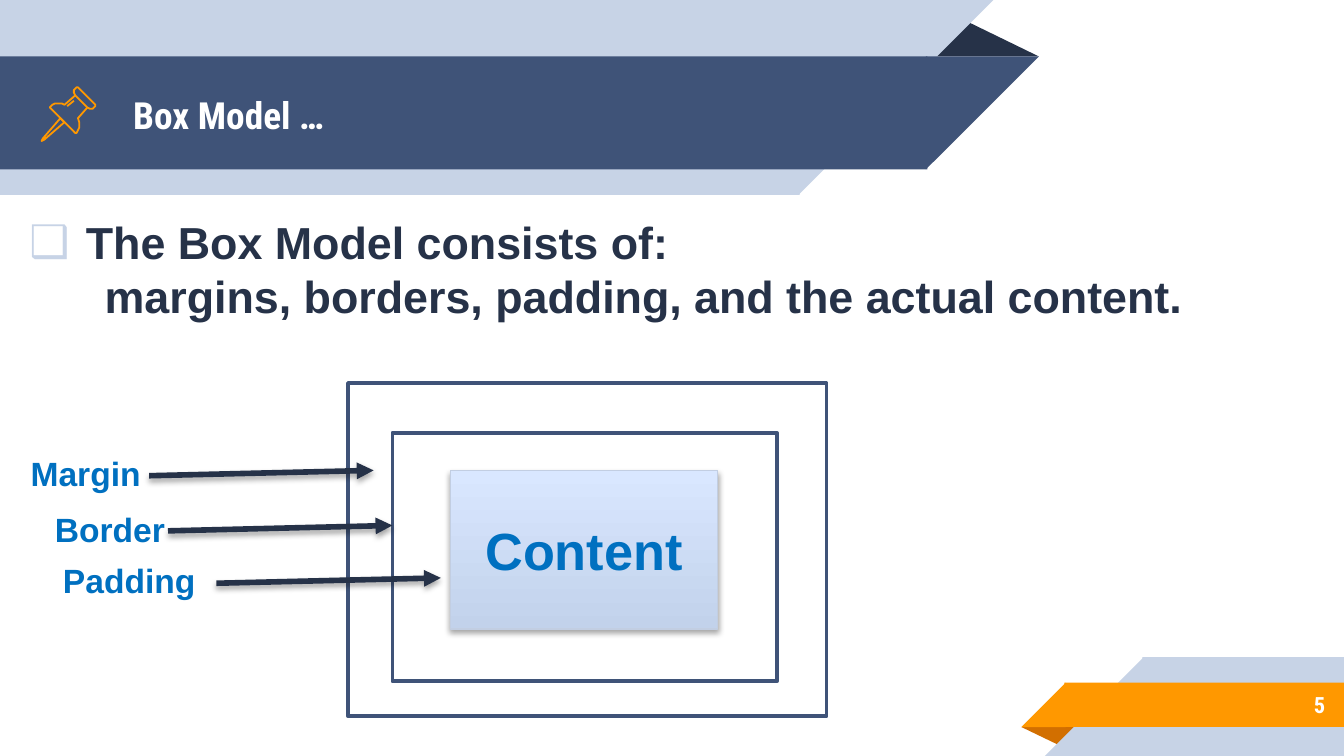
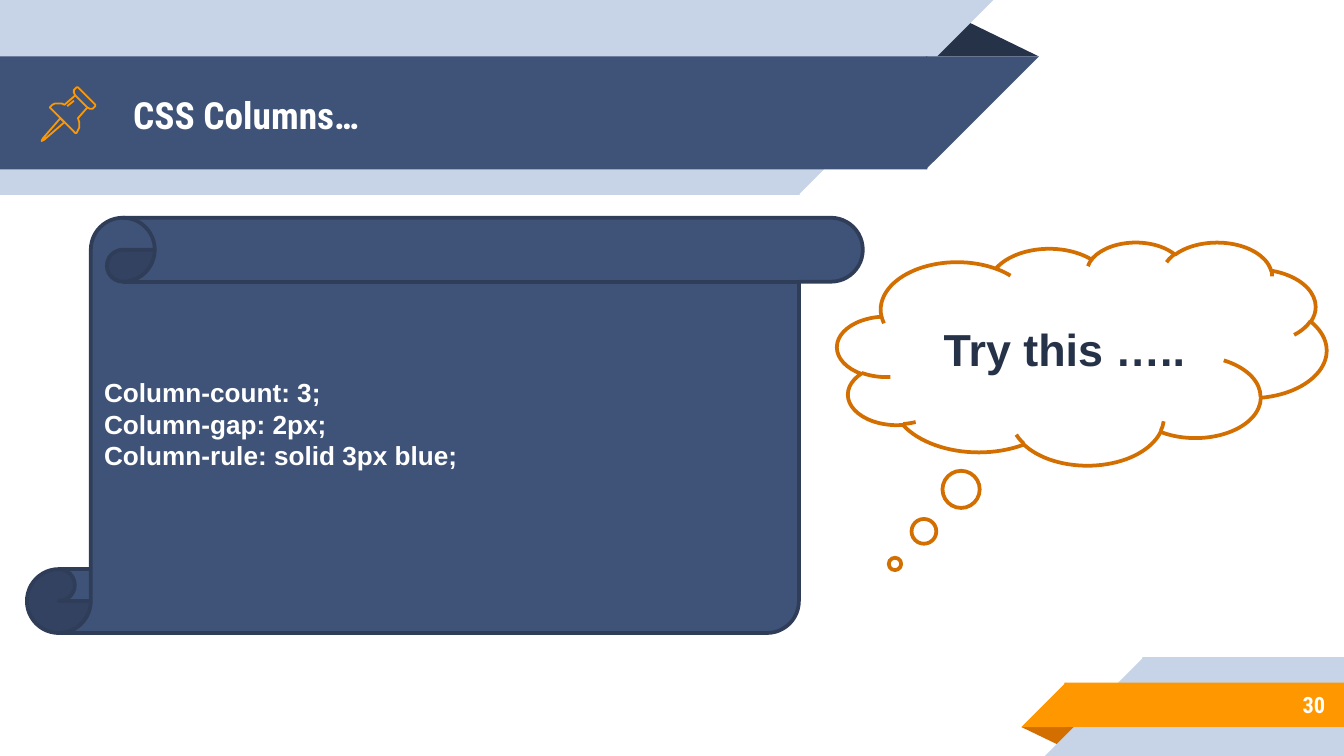
from lxml.etree import SubElement
from pptx import Presentation
from pptx.dml.color import RGBColor
from pptx.enum.shapes import MSO_CONNECTOR, MSO_SHAPE
from pptx.enum.text import MSO_ANCHOR, MSO_AUTO_SIZE, PP_ALIGN
from pptx.oxml.ns import qn
from pptx.util import Pt

SCALE = 9144
WIDTH = 1000
HEIGHT = WIDTH * 9 / 16

NAVY = RGBColor(0x3F, 0x53, 0x78)
INK = RGBColor(0x26, 0x32, 0x48)
EDGE = RGBColor(0x2F, 0x3D, 0x59)
PALE = RGBColor(0xC7, 0xD3, 0xE6)
ORANGE = RGBColor(0xFF, 0x98, 0x00)
RUST = RGBColor(0xD2, 0x6F, 0x00)
BLUE = RGBColor(0x00, 0x70, 0xC0)
WHITE = RGBColor(0xFF, 0xFF, 0xFF)
RIM = RGBColor(0xC2, 0xCE, 0xE2)
LOW = RGBColor(0xC2, 0xD2, 0xEB)
HIGH = RGBColor(0xD9, 0xE7, 0xFF)

HEAD = "Roboto Condensed"
BODY = "Arial"

PIN = [
    ([(14, 23), (1, 38), (0, 40), (2, 39), (17, 26)], True),
    ([(25, 6), (34, 15), (36, 16), (38, 16), (40, 14), (40, 13),
      (27, 0), (26, 0), (24, 2), (24, 4)], True),
    ([(25, 6), (17, 13), (15, 12), (13, 12), (10, 12), (8, 13), (6, 15),
      (7, 16), (24, 33), (25, 34), (26, 34), (27, 32), (28, 30), (28, 28),
      (28, 26), (27, 23), (34, 15)], False),
    ([(19, 14), (24, 10)], False),
]


def px(*values):
    return [round(value * SCALE) for value in values]


def paint(shape, fill=None, line=None, weight=2):
    shape.shadow.inherit = False
    if fill is None:
        shape.fill.background()
    else:
        shape.fill.solid()
        shape.fill.fore_color.rgb = fill
    if line is None:
        shape.line.fill.background()
    else:
        shape.line.color.rgb = line
        shape.line.width = Pt(weight)


def draw(slide, kind, box, fill=None, line=None, weight=2, adjust=()):
    shape = slide.shapes.add_shape(kind, *px(*box))
    for index, value in enumerate(adjust):
        shape.adjustments[index] = value
    paint(shape, fill, line, weight)
    return shape


def write(frame, lines, size, color, font=BODY, align=PP_ALIGN.LEFT):
    frame.word_wrap = True
    for index, line in enumerate(lines):
        para = frame.add_paragraph() if index else frame.paragraphs[0]
        para.text = line
        para.alignment = align
        para.font.size = Pt(size)
        para.font.bold = True
        para.font.name = font
        para.font.color.rgb = color


def pad(frame):
    frame.vertical_anchor = MSO_ANCHOR.MIDDLE
    frame.auto_size = MSO_AUTO_SIZE.NONE
    (frame.margin_left, frame.margin_top,
     frame.margin_right, frame.margin_bottom) = px(10, 10, 10, 10)


def shade(shape):
    props = shape.element.spPr
    effects = props.find(qn("a:effectLst"))
    if effects is None:
        effects = SubElement(props, qn("a:effectLst"))
    shadow = SubElement(effects, qn("a:outerShdw"), blurRad=str(Pt(3.1)),
                        dist=str(Pt(1.8)), dir="5400000", rotWithShape="0")
    black = SubElement(shadow, qn("a:srgbClr"), val="000000")
    SubElement(black, qn("a:alpha"), val="35000")


def band(slide, left, top, width, height, fill, footer=False):
    flat = width - height
    start, tip = (left + height - 1, left) if footer else (left, left + flat)
    draw(slide, MSO_SHAPE.RECTANGLE, (start, top, flat + 1, height), fill)
    wedge = draw(slide, MSO_SHAPE.RIGHT_TRIANGLE,
                 (tip, top, height, height), fill)
    wedge.element.spPr.xfrm.set("flipH", "1")
    if not footer:
        wedge.rotation = 180


def pin(slide, left, top):
    for points, close in PIN:
        first, *rest = points
        maker = slide.shapes.build_freeform(*first, scale=SCALE)
        maker.add_line_segments(rest, close=close)
        paint(maker.convert_to_shape(*px(left, top)), None, ORANGE, 0.96)


def header(slide, box, title):
    left, top, width, height = box
    draw(slide, MSO_SHAPE.ISOSCELES_TRIANGLE,
         (left + width - 85, top + 14, 85, 28), INK, adjust=[0.324])
    band(slide, left, top, width - 34, height, PALE)
    band(slide, left, top + 42, width, 84, NAVY)
    holder = slide.shapes.title
    slide.shapes.element.append(holder.element)
    holder.left, holder.top, holder.width, holder.height = px(
        left + 89, top + 43, 601, 84)
    write(holder.text_frame, [title], 20, WHITE, HEAD)
    pad(holder.text_frame)
    pin(slide, left + 31, top + 65)


def footer(slide, box, number):
    left, top, width, height = box
    fold = draw(slide, MSO_SHAPE.ISOSCELES_TRIANGLE,
                (left, top + 52, 43, 14), RUST, adjust=[0.324])
    fold.rotation = 180
    band(slide, left + 17, top, width - 17, height, PALE, True)
    band(slide, left, top + 19, width, 33, ORANGE, True)
    label = slide.shapes.add_textbox(*px(left + 73, top + 18, 163, 35))
    write(label.text_frame, [number], 12, WHITE, HEAD, PP_ALIGN.RIGHT)
    pad(label.text_frame)


def indent(para, margin, first):
    props = para._p.get_or_add_pPr()
    props.set("marL", str(margin * SCALE))
    props.set("indent", str(first * SCALE))
    return props


def intro(slide, box):
    frame = slide.shapes.add_textbox(*px(*box)).text_frame
    write(frame, ["The Box Model consists of:",
                  "margins, borders, padding, and the actual content."], 24, INK)
    pad(frame)
    lead, detail = frame.paragraphs
    props = indent(lead, 100, -42)
    color = SubElement(props, qn("a:buClr"))
    SubElement(color, qn("a:srgbClr"), val=str(PALE))
    SubElement(props, qn("a:buFont"), typeface=BODY)
    SubElement(props, qn("a:buChar"), char="❑")
    indent(detail, 114, 0)


def arrow(slide, left, top, width, rise):
    line = slide.shapes.add_connector(
        MSO_CONNECTOR.STRAIGHT, *px(left, top, left + width, top - rise))
    line.line.color.rgb = INK
    line.line.width = Pt(3)
    SubElement(line.line._get_or_add_ln(), qn("a:tailEnd"), type="triangle")
    shade(line)


def model(slide, box):
    left, top, width, height = box
    for x, y, w, h in [(246, 0, 356, 248), (279, 37, 286, 185)]:
        draw(slide, MSO_SHAPE.RECTANGLE, (left + x, top + y, w, h),
             WHITE, NAVY)
    core = draw(slide, MSO_SHAPE.RECTANGLE, (left + 322, top + 65, 199, 118),
                HIGH, RIM, 0.75)
    core.fill.gradient()
    core.fill.gradient_angle = 90
    for stop, color in zip(core.fill.gradient_stops, (LOW, HIGH)):
        stop.color.rgb = color
    shade(core)
    write(core.text_frame, ["Content"], 28, BLUE, align=PP_ALIGN.CENTER)
    parts = [("Margin", 0, 47, 116, 98, 69), ("Border", 18, 89, 116, 112, 110),
             ("Padding", 24, 127, 138, 148, 149)]
    for name, x, y, w, start, level in parts:
        arrow(slide, left + start, top + level, 167, 4)
        label = slide.shapes.add_textbox(*px(left + x, top + y, w, 40))
        write(label.text_frame, [name], 18, BLUE)


def scroll(slide, box):
    shape = draw(slide, MSO_SHAPE.VERTICAL_SCROLL, box, NAVY, EDGE,
                 adjust=[0.154])
    write(shape.text_frame, ["Column-count: 3;", "Column-gap: 2px;",
                             "Column-rule: solid 3px blue;"], 14, WHITE)
    shape.text_frame.margin_bottom = 31 * SCALE


def cloud(slide, box):
    shape = draw(slide, MSO_SHAPE.CLOUD_CALLOUT, box, WHITE, RUST,
                 adjust=[-0.382, 0.944])
    write(shape.text_frame, ["Try this ….."], 24, INK, align=PP_ALIGN.CENTER)


def page(deck, title, number):
    slide = deck.slides.add_slide(deck.slide_layouts[5])
    footer(slide, (760, 489, 240, 74), number)
    header(slide, (0, 0, 773, 145), title)
    return slide


def main():
    deck = Presentation()
    deck.slide_width, deck.slide_height = px(WIDTH, HEIGHT)
    boxes = page(deck, "Box Model …", "5")
    intro(boxes, (-46, 96, 1001, 208))
    model(boxes, (13, 285, 602, 248))
    columns = page(deck, "CSS Columns…", "30")
    scroll(columns, (20, 162, 622, 309))
    cloud(columns, (623, 180, 364, 166))
    deck.save("out.pptx")


if __name__ == "__main__":
    main()
